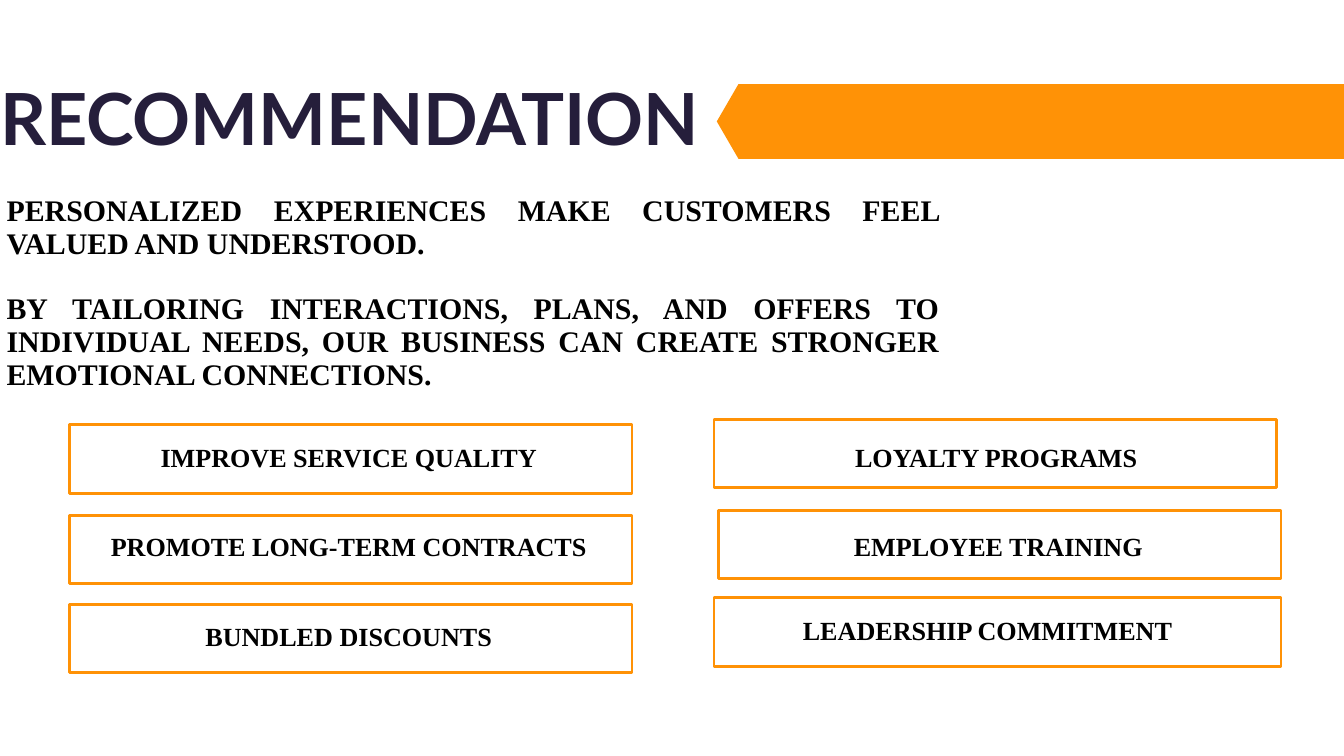
from pptx import Presentation
from pptx.dml.color import RGBColor
from pptx.enum.shapes import MSO_SHAPE
from pptx.enum.text import MSO_AUTO_SIZE, PP_ALIGN
from pptx.util import Emu, Pt

PX = 9525
COLORS = {"ink": "251E3B", "accent": "FF9206", "text": "000000", "card": "FFFFFF"}
TITLE = {"name": "Lato", "size": Pt(77), "bold": True}
BODY = {"name": "Times New Roman", "size": Pt(32), "bold": True}
LABEL = {"name": "Times New Roman", "size": Pt(28), "bold": True}


def px(*lengths):
    return [Emu(length * PX) for length in lengths]


def color(key):
    return RGBColor.from_string(COLORS[key])


def add_text(slide, box, paragraphs, font, ink, align, leading, inset=True):
    holder = slide.shapes.add_textbox(*px(*box))
    frame = holder.text_frame
    frame.word_wrap = True
    frame.auto_size = MSO_AUTO_SIZE.SHAPE_TO_FIT_TEXT
    if not inset:
        for side in ("left", "top", "right", "bottom"):
            setattr(frame, f"margin_{side}", 0)
    for index, words in enumerate(paragraphs):
        paragraph = frame.paragraphs[0] if index == 0 else frame.add_paragraph()
        paragraph.alignment = align
        paragraph.line_spacing = Pt(leading)
        if index:
            paragraph.space_before = Pt(leading)
        run = paragraph.add_run()
        run.text = words
        for attribute, value in font.items():
            setattr(run.font, attribute, value)
        run.font.color.rgb = color(ink)


def add_block(slide, preset, box, fill):
    block = slide.shapes.add_shape(preset, *px(*box))
    block.shadow.inherit = False
    block.fill.solid()
    block.fill.fore_color.rgb = color(fill)
    return block


def add_header(slide, box):
    left, top, width, height = box
    banner_left = left + 1024
    banner = add_block(slide, MSO_SHAPE.HEXAGON,
                       (banner_left, top, width - 1024, height), "accent")
    banner.adjustments[0] = 0.29
    banner.line.fill.background()
    add_text(slide, (left, top + 6, 1024, 104), ["RECOMMENDATION"],
             TITLE, "ink", PP_ALIGN.LEFT, 77, inset=False)


def add_summary(slide, box):
    add_text(slide, box, [
        "PERSONALIZED EXPERIENCES MAKE CUSTOMERS FEEL VALUED AND UNDERSTOOD.",
        "BY TAILORING INTERACTIONS, PLANS, AND OFFERS TO INDIVIDUAL NEEDS, "
        "OUR BUSINESS CAN CREATE STRONGER EMOTIONAL CONNECTIONS.",
    ], BODY, "text", PP_ALIGN.JUSTIFY, 35)


def add_action(slide, box, action, label_box, inset=True):
    left, top, _, _ = box
    card = add_block(slide, MSO_SHAPE.RECTANGLE, box, "card")
    card.line.color.rgb = color("accent")
    card.line.width = Pt(3)
    label_left, label_top, label_width, label_height = label_box
    add_text(slide, (left + label_left, top + label_top, label_width, label_height),
             [action], LABEL, "text", PP_ALIGN.CENTER, 30, inset)


def main():
    deck = Presentation()
    deck.slide_width, deck.slide_height = px(1920, 1080)
    slide = deck.slides.add_slide(deck.slide_layouts[6])
    add_header(slide, (0, 120, 2227, 107))
    add_summary(slide, (0, 274, 1352, 293))
    actions = [
        ((99, 607, 804, 98), "IMPROVE SERVICE QUALITY", (0, 24, 798, 50)),
        ((99, 736, 804, 98), "PROMOTE LONG-TERM CONTRACTS", (0, 22, 798, 50)),
        ((99, 863, 804, 98), "BUNDLED DISCOUNTS", (0, 24, 798, 50)),
        ((1020, 599, 804, 98), "LOYALTY PROGRAMS", (3, 31, 800, 50)),
        ((1026, 729, 804, 98), "EMPLOYEE TRAINING", (0, 29, 800, 50)),
        ((1020, 854, 810, 98), "LEADERSHIP COMMITMENT", (95, 28, 591, 40), False),
    ]
    for action in actions:
        add_action(slide, *action)
    deck.save("out.pptx")


if __name__ == "__main__":
    main()
